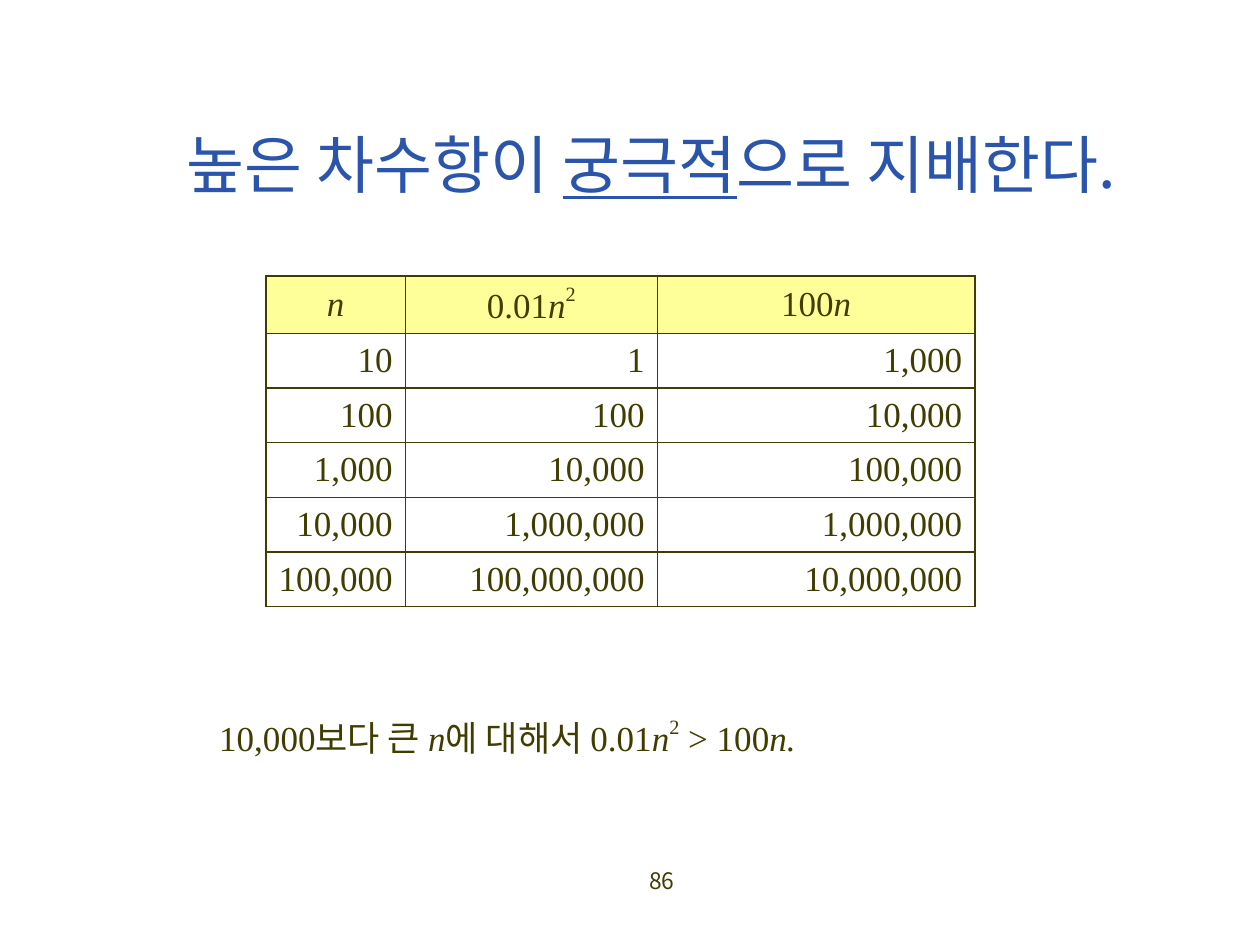
from lxml import etree
from pptx import Presentation
from pptx import util as u
from pptx.dml.color import RGBColor
from pptx.enum import text
from pptx.oxml.ns import qn

SERIF = "Times New Roman"
SANS = "Noto Sans CJK KR"
INK, BLUE, YELLOW = "3F3E00", "2A55AA", "FFFF99"
ALIGN = text.PP_ALIGN
MIDDLE = text.MSO_ANCHOR.MIDDLE

N = ("n", {"italic": True})
SQUARED = ("2", {"raised": 50})
HEADER = [[N], ["0.01", N, SQUARED], ["100", N]]
ROWS = [
    ["10", "1", "1,000"],
    ["100", "100", "10,000"],
    ["1,000", "10,000", "100,000"],
    ["10,000", "1,000,000", "1,000,000"],
    ["100,000", "100,000,000", "10,000,000"],
]


def color(value):
    return RGBColor.from_string(value)


def add_span(para, words, font=SERIF, size=20, ink=INK, italic=False,
             underline=False, raised=0):
    span = para.add_run()
    span.text = words
    span.font.name = font
    span.font.size = u.Pt(size)
    span.font.italic = italic
    span.font.underline = underline
    span.font.color.rgb = color(ink)
    # East Asian font and superscript
    props = span._r.get_or_add_rPr()
    etree.SubElement(props, qn("a:ea")).set("typeface", SANS)
    if raised:
        props.set("baseline", str(raised * 1000))


def write_spans(frame, spans, align=ALIGN.LEFT, **style):
    para = frame.paragraphs[0]
    para.alignment = align
    for item in spans:
        words, extra = (item, {}) if isinstance(item, str) else item
        add_span(para, words, **{**style, **extra})


def add_text(page, left, top, width, height, spans,
             anchor=text.MSO_ANCHOR.TOP, **style):
    box = page.shapes.add_textbox(u.Cm(left), u.Cm(top), u.Cm(width), u.Cm(height))
    box.text_frame.word_wrap = True
    box.text_frame.vertical_anchor = anchor
    write_spans(box.text_frame, spans, **style)


def set_borders(cell, ink=INK, width=1):
    props = cell._tc.get_or_add_tcPr()
    for index, side in enumerate(("lnL", "lnR", "lnT", "lnB")):
        line = etree.Element(qn(f"a:{side}"), w=str(u.Pt(width)))
        fill = etree.SubElement(line, qn("a:solidFill"))
        etree.SubElement(fill, qn("a:srgbClr"), val=ink)
        props.insert(index, line)


def fill_cell(cell, spans, align, fill=None):
    cell.vertical_anchor = MIDDLE
    if fill:
        cell.fill.solid()
        cell.fill.fore_color.rgb = color(fill)
    else:
        cell.fill.background()
    set_borders(cell)
    write_spans(cell.text_frame, spans, align)


def add_growth_table(page, left, top, widths, row_height):
    count = len(ROWS) + 1
    table = page.shapes.add_table(
        count, len(widths), u.Cm(left), u.Cm(top),
        u.Cm(sum(widths)), u.Cm(row_height * count)).table
    for column, width in zip(table.columns, widths):
        column.width = u.Cm(width)
    for row in table.rows:
        row.height = u.Cm(row_height)
    for index, spans in enumerate(HEADER):
        fill_cell(table.cell(0, index), spans, ALIGN.CENTER, YELLOW)
    for number, values in enumerate(ROWS, 1):
        for index, value in enumerate(values):
            fill_cell(table.cell(number, index), [value], ALIGN.RIGHT)


def main():
    deck = Presentation()
    deck.slide_width, deck.slide_height = u.Cm(25.4), u.Cm(19.05)
    page = deck.slides.add_slide(deck.slide_layouts[6])

    # Title
    add_text(page, 2.34, 1.7, 21.59, 3.18,
             ["높은 차수항이 ", ("궁극적", {"underline": True}), "으로 지배한다."],
             anchor=MIDDLE, align=ALIGN.CENTER, font=SANS, size=36, ink=BLUE)

    # Comparison of the two terms
    add_growth_table(page, 5.36, 5.56, [2.81, 5.08, 6.4], 1.08)

    # Conclusion
    add_text(page, 4.17, 14.27, 17.65, 1.12,
             ["10,000보다 큰 ", N, "에 대해서 0.01", N, SQUARED, " > 100",
              ("n.", {"italic": True})])

    # Page number
    add_text(page, 9.32, 17.35, 8.05, 1.27, ["86"],
             align=ALIGN.CENTER, font=SANS, size=13)

    deck.save("out.pptx")


if __name__ == "__main__":
    main()
